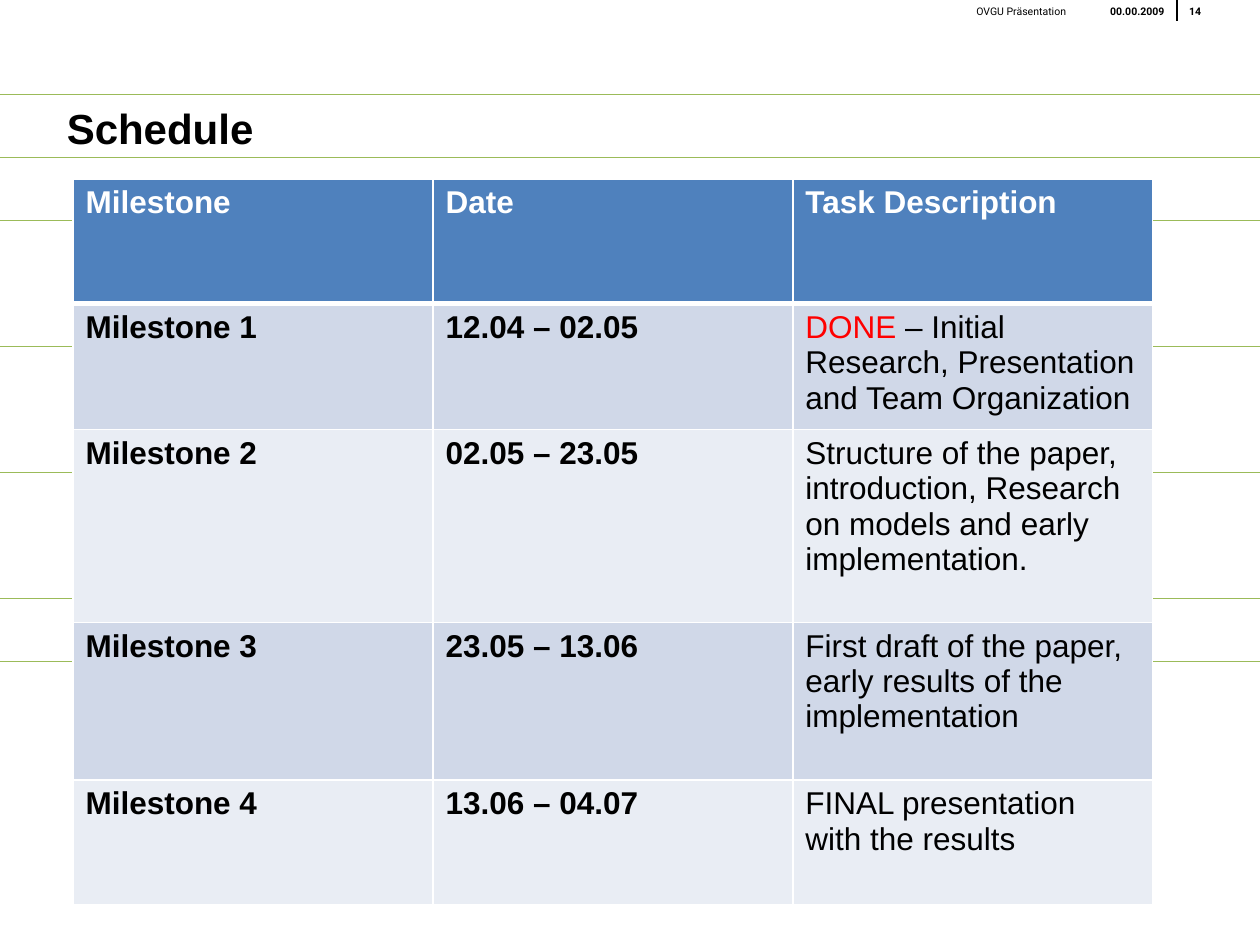
"""Build the project schedule slide with its milestone table."""
import dataclasses

import pptx
import pptx.dml.color
import pptx.enum.shapes
import pptx.enum.text
import pptx.oxml
import pptx.oxml.ns
import pptx.util

Inches = pptx.util.Inches
Pt = pptx.util.Pt
rgb = pptx.dml.color.RGBColor.from_string
ALIGN = pptx.enum.text.PP_ALIGN


@dataclasses.dataclass(frozen=True)
class Theme:
    guide: str = "9BBB59"
    ink: str = "000000"
    white: str = "FFFFFF"
    done: str = "FF0000"
    header: str = "4F81BD"
    bands: tuple = ("D0D8E8", "E9EDF4")
    body_font: str = "Arial"
    meta_font: str = "Roboto"
    title_size: int = 24
    table_size: int = 18
    meta_size: int = 6


theme = Theme()


def write(paragraph, text, *, size=theme.table_size, color=theme.ink, bold=False, font=theme.body_font):
    run = paragraph.add_run()
    run.text = text
    run.font.size = Pt(size)
    run.font.name = font
    run.font.bold = bold
    run.font.color.rgb = rgb(color)


def add_line(start, end, *, color, width):
    points = [Inches(value) for value in (*start, *end)]
    connector = slide.shapes.add_connector(pptx.enum.shapes.MSO_CONNECTOR.STRAIGHT, *points)
    connector.line.color.rgb = rgb(color)
    connector.line.width = Pt(width)
    connector._element.spPr.append(pptx.oxml.parse_xml(f'<a:effectLst {pptx.oxml.ns.nsdecls("a")}/>'))


presentation = pptx.Presentation()
presentation.slide_width = Inches(10)
presentation.slide_height = Inches(7.5)
slide = presentation.slides.add_slide(presentation.slide_layouts[6])

for y in (0.75, 1.25, 1.75, 2.75, 3.75, 4.75, 5.25):
    add_line((0, y), (10, y), color=theme.guide, width=0.75)
add_line((9.34, 0), (9.34, 0.17), color=theme.ink, width=1)

meta = dict(size=theme.meta_size, font=theme.meta_font)
text_boxes = [
    ("14", (9.34, 0, 0.5, 0.14), (0.1, 0.04, 0.1, 0), ALIGN.LEFT, dict(meta, bold=True)),
    ("00.00.2009", (8.34, 0, 1, 0.14), (0.1, 0.04, 0.1, 0), ALIGN.RIGHT, dict(meta, bold=True)),
    ("OVGU Präsentation", (6.25, 0, 2.21, 0.14), (0.1, 0.04, 0, 0), ALIGN.RIGHT, meta),
    ("Schedule", (0, 0.75, 9.41, 0.5), (0.53, 0.06, 0.1, 0.05), ALIGN.LEFT,
     dict(size=theme.title_size, bold=True)),
]
for text, place, insets, alignment, text_format in text_boxes:
    frame = slide.shapes.add_textbox(*map(Inches, place)).text_frame
    frame.word_wrap = True
    frame.margin_left, frame.margin_top, frame.margin_right, frame.margin_bottom = map(Inches, insets)
    frame.paragraphs[0].alignment = alignment
    write(frame.paragraphs[0], text, **text_format)

rows = [
    (0.99, "Milestone", "Date", ["Task Description"]),
    (0.99, "Milestone 1", "12.04 – 02.05",
     ["DONE", " – Initial Research, Presentation and Team Organization"]),
    (1.53, "Milestone 2", "02.05 – 23.05",
     ["Structure of the paper, introduction, Research on models and early implementation."]),
    (1.25, "Milestone 3", "23.05 – 13.06",
     ["First draft of the paper, early results of the implementation"]),
    (0.99, "Milestone 4", "13.06 – 04.07", ["FINAL presentation with the results"]),
]
total_height = sum(row[0] for row in rows)
table = slide.shapes.add_table(
    len(rows), 3, Inches(0.58), Inches(1.42), Inches(8.57), Inches(total_height)).table
for column in table.columns:
    column.width = Inches(8.57 / 3)

for row_index, (height, milestone, date, task) in enumerate(rows):
    table.rows[row_index].height = Inches(height)
    is_header = row_index == 0
    fill = theme.header if is_header else theme.bands[(row_index - 1) % 2]
    for column_index, parts in enumerate(([milestone], [date], task)):
        cell = table.cell(row_index, column_index)
        for part in parts:
            color = theme.white if is_header else theme.done if part == "DONE" else theme.ink
            write(cell.text_frame.paragraphs[0], part, color=color, bold=is_header or column_index < 2)
        properties = cell._tc.get_or_add_tcPr()
        for side in "LRTB":
            heavy = (side == "B" and row_index == 0) or (side == "T" and row_index == 1)
            properties.append(pptx.oxml.parse_xml(
                f'<a:ln{side} {pptx.oxml.ns.nsdecls("a")} w="{Pt(3 if heavy else 1)}">'
                f'<a:solidFill><a:srgbClr val="{theme.white}"/></a:solidFill></a:ln{side}>'))
        cell.fill.solid()
        cell.fill.fore_color.rgb = rgb(fill)

presentation.save("out.pptx")
